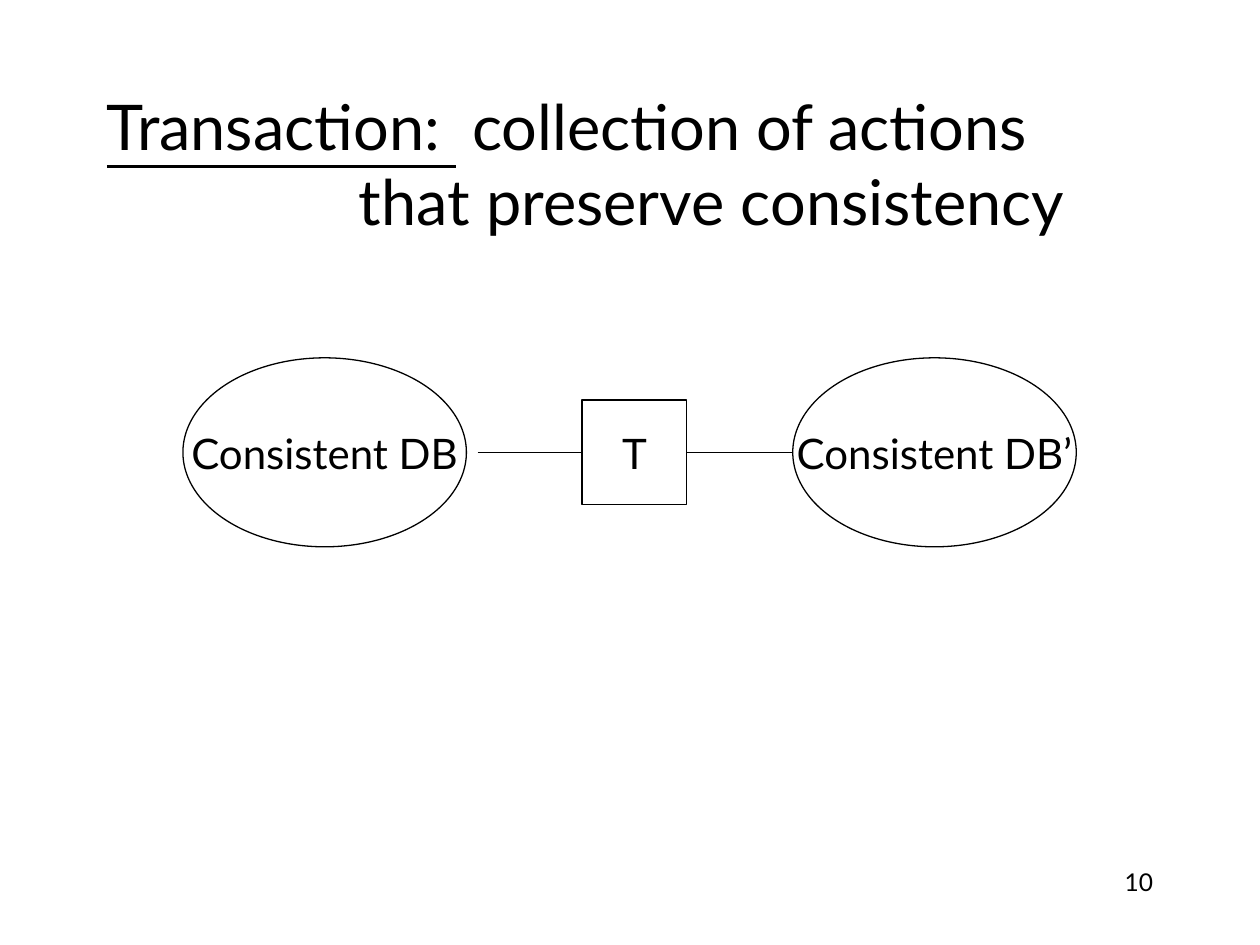
from pptx import Presentation
from pptx.dml.color import RGBColor
from pptx.enum.shapes import MSO_CONNECTOR, MSO_SHAPE
from pptx.enum.text import MSO_ANCHOR, PP_ALIGN
from pptx.oxml.ns import qn
from pptx.util import Pt
from lxml import etree

BLACK = RGBColor(0, 0, 0)
WHITE = RGBColor(255, 255, 255)
LEFT_SIDE, RIGHT_SIDE = 1, 3


def add_span(para, text, size=24, font="Lato", color=BLACK, underline=False):
    span = para.add_run()
    span.text = text
    span.font.size = Pt(size)
    span.font.name = font
    span.font.color.rgb = color
    span.font.underline = underline
    return span


class TransactionPage:
    line_width = 0.75

    def __init__(self, page):
        self.page = page

    def text_box(self, left, top, width, height, anchor=MSO_ANCHOR.TOP, align=PP_ALIGN.LEFT):
        box = self.page.shapes.add_textbox(Pt(left), Pt(top), Pt(width), Pt(height))
        frame = box.text_frame
        frame.word_wrap = True
        frame.vertical_anchor = anchor
        para = frame.paragraphs[0]
        para.alignment = align
        return para

    def title(self, term, first_line, second_line, hanging):
        para = self.text_box(54, 48, 612, 90, anchor=MSO_ANCHOR.MIDDLE)
        properties = para._p.get_or_add_pPr()
        properties.set("marL", str(Pt(hanging)))
        properties.set("indent", str(-Pt(hanging)))
        add_span(para, term, size=36, underline=True)
        add_span(para, first_line, size=36)
        para.add_line_break()
        add_span(para, second_line, size=36)

    def page_number(self, number):
        para = self.text_box(516, 492, 150, 36, align=PP_ALIGN.RIGHT)
        add_span(para, number, size=14)

    def node(self, kind, center_x, center_y, width, height, text):
        shape = self.page.shapes.add_shape(
            kind, Pt(center_x - width / 2), Pt(center_y - height / 2), Pt(width), Pt(height))
        shape.shadow.inherit = False
        shape.fill.solid()
        shape.fill.fore_color.rgb = WHITE
        shape.line.color.rgb = BLACK
        shape.line.width = Pt(self.line_width)
        frame = shape.text_frame
        frame.word_wrap = False
        frame.vertical_anchor = MSO_ANCHOR.MIDDLE
        para = frame.paragraphs[0]
        para.alignment = PP_ALIGN.CENTER
        add_span(para, text)
        return shape

    def link(self, start_x, end_x, y):
        line = self.page.shapes.add_connector(
            MSO_CONNECTOR.STRAIGHT, Pt(start_x), Pt(y), Pt(end_x), Pt(y))
        line.line.color.rgb = BLACK
        line.line.width = Pt(self.line_width)
        etree.SubElement(line._element.spPr, qn("a:effectLst"))
        return line


def main():
    deck = Presentation()
    deck.slide_width, deck.slide_height = Pt(720), Pt(540)
    slide = TransactionPage(deck.slides.add_slide(deck.slide_layouts[6]))

    slide.page_number("10")
    slide.title("Transaction: ", " collection of actions", "that preserve consistency", 144)

    middle = 258.5
    for center, text in ((185.5, "Consistent DB"), (534, "Consistent DB’")):
        slide.node(MSO_SHAPE.OVAL, center, middle, 162, 108, text)
    transaction = slide.node(MSO_SHAPE.RECTANGLE, 362.5, middle, 60, 60, "T")

    slide.link(273, 332.5, middle).end_connect(transaction, LEFT_SIDE)
    slide.link(392.5, 453, middle).begin_connect(transaction, RIGHT_SIDE)

    deck.save("out.pptx")


if __name__ == "__main__":
    main()
